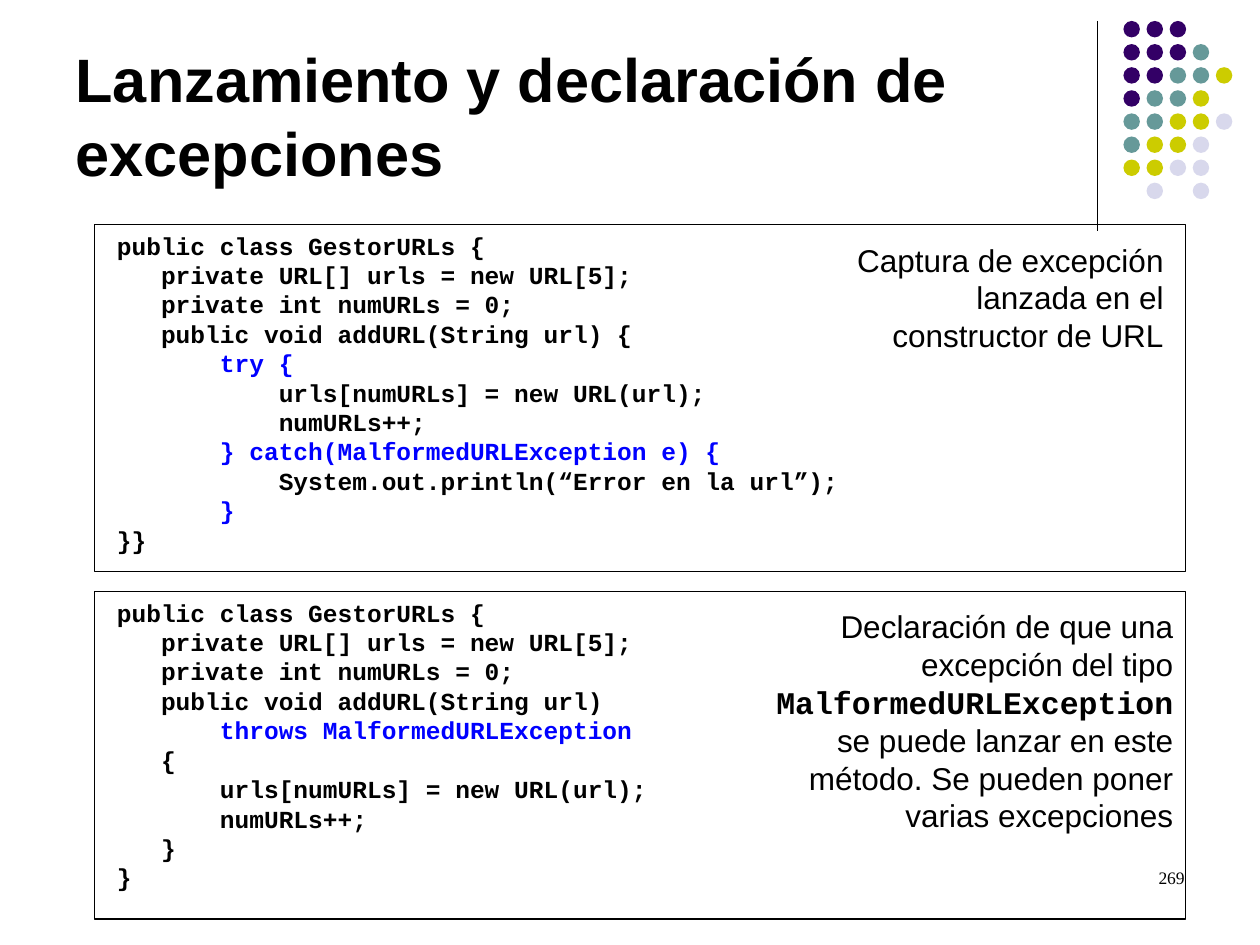
from lxml import etree
from pptx import Presentation
from pptx.dml.color import RGBColor
from pptx.enum import shapes, text
from pptx.oxml.ns import qn
from pptx.util import Pt

BLACK, BLUE = "000000", "0000FF"
DOT_COLORS = {"P": "330066", "T": "669999", "Y": "CCCC00", "L": "D8D8EC"}
DOT_ROWS = ["PPP", "PPPT", "PPTTY", "PTTY", "TTYYL", "TYYL", "YYLL", " L L"]

CLASS_START = [
    "public class GestorURLs {",
    "   private URL[] urls = new URL[5];",
    "   private int numURLs = 0;",
]
CATCH_CODE = CLASS_START + [
    "   public void addURL(String url) {",
    "       try {",
    "           urls[numURLs] = new URL(url);",
    "           numURLs++;",
    "       } catch(MalformedURLException e) {",
    "           System.out.println(“Error en la url”);",
    "       }",
    "}}",
]
THROWS_CODE = CLASS_START + [
    "   public void addURL(String url)",
    "       throws MalformedURLException",
    "   {",
    "       urls[numURLs] = new URL(url);",
    "       numURLs++;",
    "   }",
    "}",
]
HIGHLIGHTED = {
    "       try {",
    "       } catch(MalformedURLException e) {",
    "       }",
    "       throws MalformedURLException",
}


def color(value):
    return RGBColor.from_string(value)


def set_font(font, name, size, value=BLACK, bold=False):
    font.name, font.size, font.bold = name, Pt(size), bold
    font.color.rgb = color(value)


def add_text_frame(slide, left, top, width, height):
    box = slide.shapes.add_textbox(Pt(left), Pt(top), Pt(width), Pt(height))
    box.text_frame.word_wrap = True
    return box.text_frame


def add_title(slide, left, top, width, height):
    title = slide.shapes.title
    title.left, title.top, title.width, title.height = map(Pt, (left, top, width, height))
    frame = title.text_frame
    frame.text = "Lanzamiento y declaración de excepciones"
    frame.auto_size = text.MSO_AUTO_SIZE.NONE
    frame.vertical_anchor = text.MSO_ANCHOR.BOTTOM
    paragraph = frame.paragraphs[0]
    paragraph.alignment = text.PP_ALIGN.LEFT
    set_font(paragraph.font, "Arial", 35, bold=True)


def add_decoration(slide, left, top, height):
    # Vertical rule
    rule = slide.shapes.add_connector(
        shapes.MSO_CONNECTOR.STRAIGHT, Pt(left), Pt(top), Pt(left), Pt(top + height))
    rule.line.color.rgb = color(BLACK)
    rule.line.width = Pt(0.75)
    etree.SubElement(rule._element.spPr, qn("a:effectLst"))

    # Grid of dots
    pitch, size = 13.2, 9.4
    group = slide.shapes.add_group_shape()
    for row, codes in enumerate(DOT_ROWS):
        for column, code in enumerate(codes):
            if code == " ":
                continue
            dot = group.shapes.add_shape(
                shapes.MSO_SHAPE.OVAL, Pt(left + 15 + column * pitch),
                Pt(top + row * pitch), Pt(size), Pt(size))
            dot.shadow.inherit = False
            dot.fill.solid()
            dot.fill.fore_color.rgb = color(DOT_COLORS[code])
            dot.line.fill.background()


def add_code_panel(slide, left, top, width, height, lines):
    # Code
    frame = add_text_frame(slide, left + 5.75, top, width - 11.5, height - 8)
    for index, line in enumerate(lines):
        paragraph = frame.paragraphs[0] if index == 0 else frame.add_paragraph()
        paragraph.text = line
        set_font(paragraph.font, "Courier New", 14,
                 BLUE if line in HIGHLIGHTED else BLACK, bold=True)

    # Border
    border = slide.shapes.add_shape(
        shapes.MSO_SHAPE.RECTANGLE, Pt(left), Pt(top), Pt(width), Pt(height))
    border.shadow.inherit = False
    border.fill.background()
    border.line.color.rgb = color(BLACK)
    border.line.width = Pt(0.75)


def add_note(slide, left, top, width, height, parts):
    paragraph = add_text_frame(slide, left, top, width, height).paragraphs[0]
    paragraph.alignment = text.PP_ALIGN.RIGHT
    for content, is_code in parts:
        run = paragraph.add_run()
        run.text = content
        set_font(run.font, "Courier New" if is_code else "Arial", 18, bold=is_code)


def add_slide_number(slide, left, top, width, height):
    paragraph = add_text_frame(slide, left, top, width, height).paragraphs[0]
    paragraph.text = "269"
    paragraph.alignment = text.PP_ALIGN.RIGHT
    set_font(paragraph.font, "Times New Roman", 10)


def main():
    presentation = Presentation()
    presentation.slide_width, presentation.slide_height = Pt(720), Pt(540)
    slide = presentation.slides.add_slide(presentation.slide_layouts[5])

    add_decoration(slide, 627, 12, 120)
    add_title(slide, 36, 9.5, 594, 102)
    add_code_panel(slide, 54, 128.25, 623.5, 198.5, CATCH_CODE)
    add_code_panel(slide, 54, 338, 623.5, 187.25, THROWS_CODE)
    add_note(slide, 479, 134, 193, 72, [
        ("Captura de excepción lanzada en el constructor de URL", False)])
    add_note(slide, 433.5, 343.5, 244, 137, [
        ("Declaración de que una excepción del tipo ", False),
        ("MalformedURLException ", True),
        ("se puede lanzar en este método. Se pueden poner varias excepciones", False)])
    add_slide_number(slide, 516, 492, 168, 36)

    presentation.save("out.pptx")


if __name__ == "__main__":
    main()
